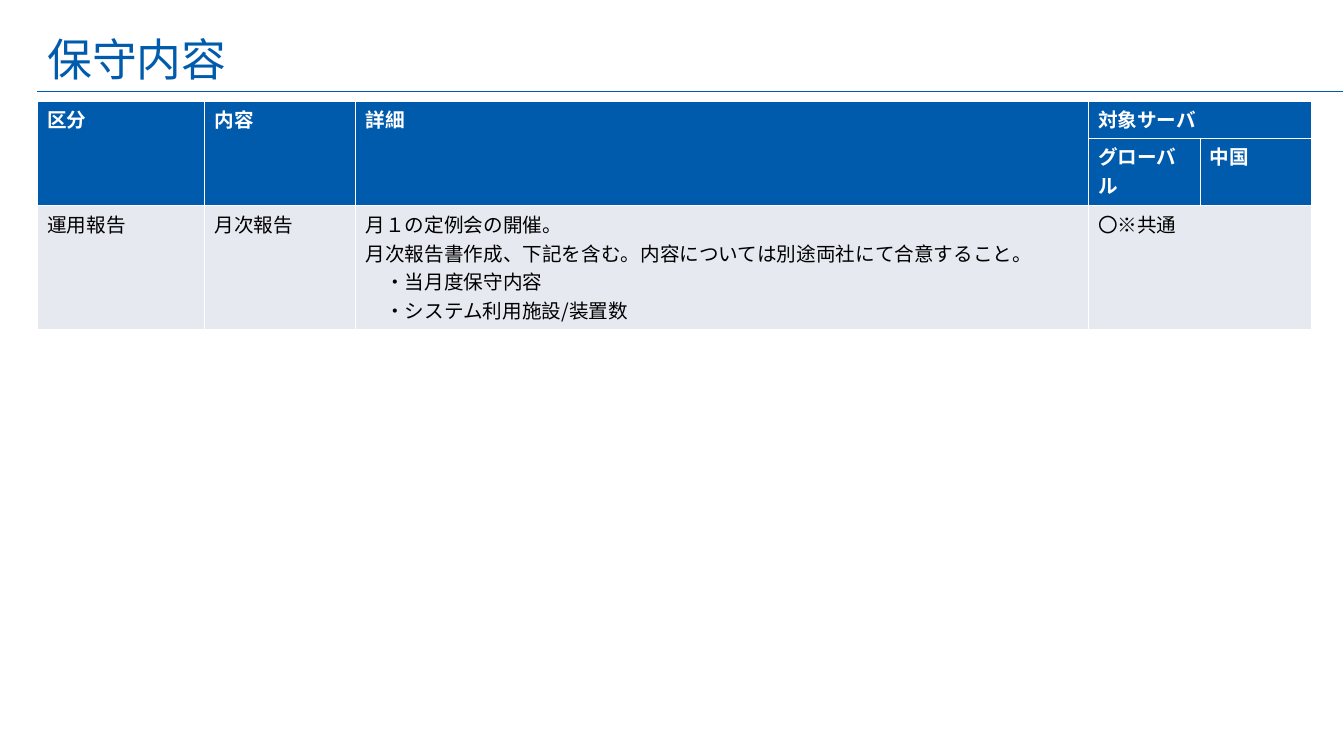
from dataclasses import dataclass

from lxml import etree
from pptx import Presentation
from pptx.dml.color import RGBColor
from pptx.enum.shapes import MSO_CONNECTOR
from pptx.enum.text import MSO_ANCHOR, PP_ALIGN
from pptx.oxml.ns import qn
from pptx.slide import Slide
from pptx.table import Table, _Cell
from pptx.text.text import _Run
from pptx.util import Pt

PX = 9144  # 100 px to the inch
STRAIGHT = MSO_CONNECTOR.STRAIGHT
MIDDLE = MSO_ANCHOR.MIDDLE
LEFT = PP_ALIGN.LEFT

BLUE = RGBColor(0x00, 0x5B, 0xAC)
PALE = RGBColor(0xE7, 0xE9, 0xF1)
WHITE = RGBColor(0xFF, 0xFF, 0xFF)
BLACK = RGBColor(0x00, 0x00, 0x00)
LATIN = "Arial"
NOTO = "Noto Sans CJK JP"

COLS = [166, 150, 727, 111, 111]
ROWS = [37, 67, 123]


@dataclass(frozen=True)
class Entry:
    row: int
    col: int
    text: str
    rows: int = 1
    cols: int = 1
    font: str = NOTO


ENTRIES = [
    Entry(0, 0, "区分", rows=2),
    Entry(0, 1, "内容", rows=2),
    Entry(0, 2, "詳細", rows=2),
    Entry(0, 3, "対象サーバ", cols=2),
    Entry(1, 3, "グローバル"),
    Entry(1, 4, "中国"),
    Entry(2, 0, "運用報告"),
    Entry(2, 1, "月次報告", font=LATIN),
    Entry(2, 2, "月１の定例会の開催。\n"
                "月次報告書作成、下記を含む。内容については別途両社にて合意すること。\n"
                "　・当月度保守内容\n"
                "　・システム利用施設/装置数"),
    Entry(2, 3, "〇※共通", cols=2),
]


def style(run: _Run, font: str, size: int, color: RGBColor, bold: bool = False) -> None:
    run.font.name = font
    run.font.size = Pt(size)
    run.font.bold = bold
    run.font.color.rgb = color
    asian = etree.SubElement(run.font._element, qn("a:ea"))
    asian.set("typeface", NOTO)


def add_title(slide: Slide) -> None:
    title = slide.shapes.title
    title.left, title.top, title.width, title.height = (
        n * PX for n in (37, 26, 1102, 64))
    frame = title.text_frame
    frame.text = "保守内容"
    frame.vertical_anchor = MIDDLE
    para = frame.paragraphs[0]
    para.alignment = LEFT
    para.line_spacing = Pt(38)
    style(para.runs[0], LATIN, 32, BLUE)


def add_rule(slide: Slide) -> None:
    rule = slide.shapes.add_connector(STRAIGHT, 37 * PX, 91 * PX, 1333 * PX, 91 * PX)
    rule.line.color.rgb = BLUE
    rule.line.width = Pt(1)
    etree.SubElement(rule._element.spPr, qn("a:effectLst"))


def paint(cell: _Cell, color: RGBColor) -> None:
    """Fill a cell and give it thin white borders."""
    cell.fill.solid()
    cell.fill.fore_color.rgb = color
    props = cell._tc.get_or_add_tcPr()
    for i, side in enumerate(("lnL", "lnR", "lnT", "lnB")):
        line = etree.Element(qn(f"a:{side}"), w=str(Pt(0.45)))
        fill = etree.SubElement(line, qn("a:solidFill"))
        etree.SubElement(fill, qn("a:srgbClr"), val=str(WHITE))
        props.insert(i, line)


def write(table: Table, entry: Entry) -> None:
    cell = table.cell(entry.row, entry.col)
    if entry.rows > 1 or entry.cols > 1:
        cell.merge(table.cell(entry.row + entry.rows - 1, entry.col + entry.cols - 1))
    head = entry.row < 2
    cell.text_frame.text = entry.text
    cell.margin_top = cell.margin_bottom = 4 * PX
    for para in cell.text_frame.paragraphs:
        style(para.runs[0], entry.font, 14, WHITE if head else BLACK, head)


def add_grid(slide: Slide) -> None:
    frame = slide.shapes.add_table(
        len(ROWS), len(COLS), 37 * PX, 100 * PX, sum(COLS) * PX, sum(ROWS) * PX)
    table = frame.table
    for col, width in zip(table.columns, COLS):
        col.width = width * PX
    for i, height in enumerate(ROWS):
        table.rows[i].height = height * PX
        for j in range(len(COLS)):
            paint(table.cell(i, j), BLUE if i < 2 else PALE)
    for entry in ENTRIES:
        write(table, entry)


def main() -> None:
    deck = Presentation()
    deck.slide_width, deck.slide_height = 1334 * PX, 750 * PX
    slide = deck.slides.add_slide(deck.slide_layouts[5])
    add_rule(slide)
    add_title(slide)
    add_grid(slide)
    deck.save("out.pptx")


if __name__ == "__main__":
    main()
